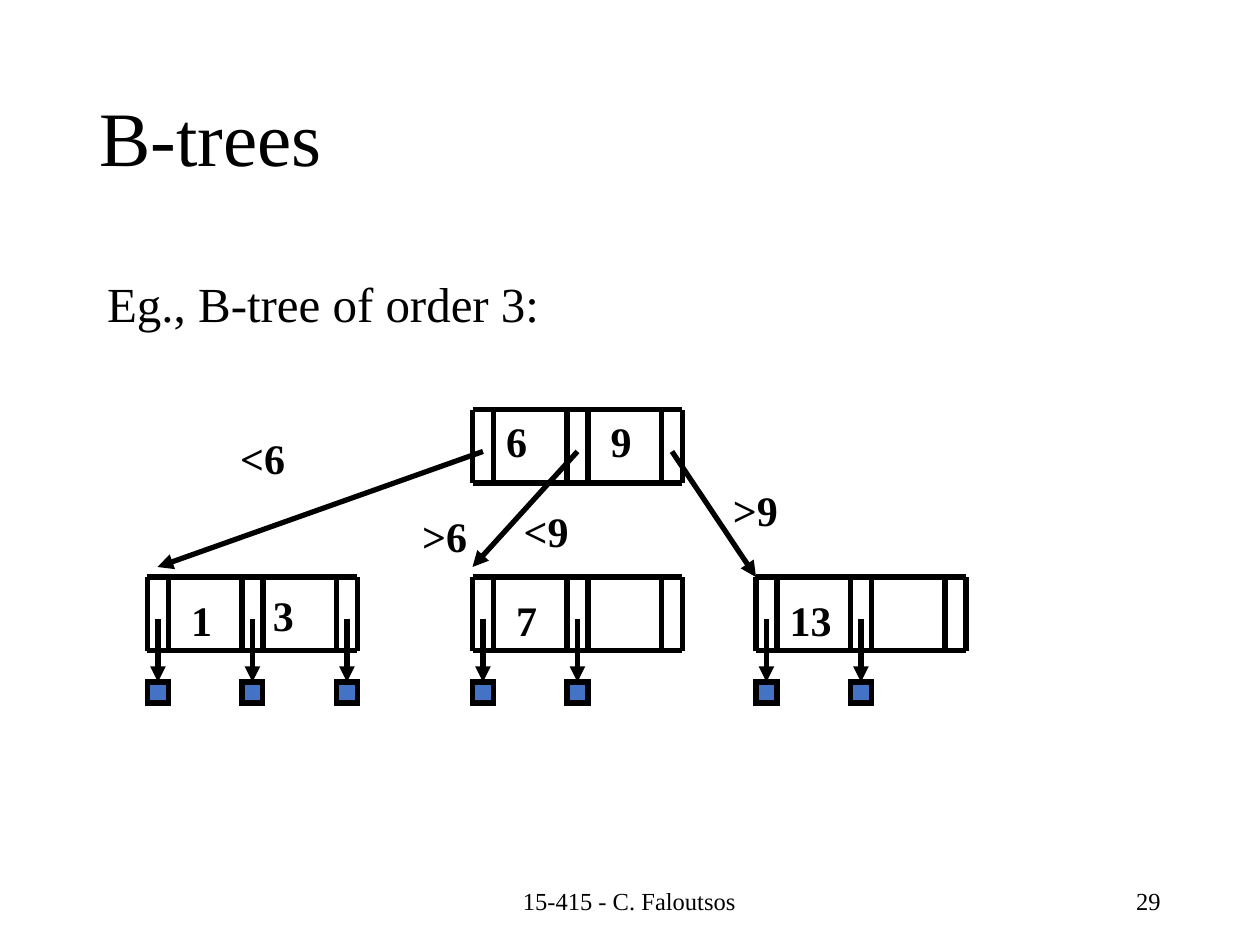
from dataclasses import dataclass

from lxml import etree
from pptx import Presentation
from pptx.dml.color import RGBColor
from pptx.enum import shapes, text
from pptx.oxml import ns
from pptx.util import Inches, Pt

COLORS = {"ink": "000000", "record": "4472C4"}
FONT = "Times New Roman"
LINE_WIDTH = 3

# Node geometry, in inches
SLOT = 1 / 6            # width of a pointer slot, side of a record
PITCH = 0.75            # from one pointer slot to the next
ORDER = 3               # pointer slots per node
NODE_WIDTH = (ORDER - 1) * PITCH + SLOT
NODE_HEIGHT = 7 / 12
POINTER_DROP = 1 / 3    # node top to start of a pointer
RECORD_DROP = 5 / 6     # node top to the records
ROOT_TOP, LEAF_TOP = 3.25, 4.58


@dataclass
class Node:
    left: float
    top: float
    records: int = 0

    def slot_center(self, index: int) -> float:
        return self.left + index * PITCH + SLOT / 2


@dataclass
class Label:
    words: str
    left: float
    top: float
    width: float


ROOT = Node(3.75, ROOT_TOP)
LEAVES = [Node(6, LEAF_TOP, 2), Node(3.75, LEAF_TOP, 2), Node(1.17, LEAF_TOP, 3)]
CHILD_POINTS = [(1.25, 4.5), (3.75, 4.5), (6, LEAF_TOP)]
LABELS = [
    # Keys
    Label("1", 1.42, 4.67, 0.36),
    Label("3", 2.07, 4.63, 0.36),
    Label("6", 3.92, 3.25, 0.36),
    Label("7", 4, 4.67, 0.36),
    Label("9", 4.75, 3.25, 0.36),
    Label("13", 6.17, 4.67, 0.53),
    # Conditions on the branches
    Label("<6", 1.81, 3.38, 0.55),
    Label(">6", 3.25, 4, 0.56),
    Label("<9", 4.06, 3.96, 0.55),
    Label(">9", 5.72, 3.8, 0.55),
]


def color(name: str) -> RGBColor:
    return RGBColor.from_string(COLORS[name])


def add_line_detail(shape, tag: str, **attributes: str) -> None:
    line = shape._element.spPr.find(ns.qn("a:ln"))
    etree.SubElement(line, ns.qn(tag), **attributes)


def format_line(shape) -> None:
    shape.line.color.rgb = color("ink")
    shape.line.width = Pt(LINE_WIDTH)


def draw_line(group, x1: float, y1: float, x2: float, y2: float, arrow: bool = False) -> None:
    connector = group.shapes.add_connector(
        shapes.MSO_CONNECTOR.STRAIGHT, Inches(x1), Inches(y1), Inches(x2), Inches(y2))
    format_line(connector)
    if arrow:
        add_line_detail(connector, "a:tailEnd", type="triangle")
    etree.SubElement(connector._element.spPr, ns.qn("a:effectLst"))


def draw_record(group, left: float, top: float) -> None:
    record = group.shapes.add_shape(
        shapes.MSO_SHAPE.RECTANGLE, Inches(left), Inches(top), Inches(SLOT), Inches(SLOT))
    record.shadow.inherit = False
    record.fill.solid()
    record.fill.fore_color.rgb = color("record")
    format_line(record)
    add_line_detail(record, "a:miter", lim="800000")


def draw_node(group, node: Node) -> None:
    bottom = node.top + NODE_HEIGHT
    for index in range(ORDER):
        left = node.left + index * PITCH
        for x in (left, left + SLOT):
            draw_line(group, x, node.top, x, bottom)
    for y in (node.top, bottom):
        draw_line(group, node.left, y, node.left + NODE_WIDTH, y)
    for index in range(node.records):
        center, record_top = node.slot_center(index), node.top + RECORD_DROP
        draw_line(group, center, node.top + POINTER_DROP, center, record_top, arrow=True)
        draw_record(group, node.left + index * PITCH, record_top)


def place(shape, left: float, top: float, width: float, height: float) -> None:
    box = {"left": left, "top": top, "width": width, "height": height}
    for name, value in box.items():
        setattr(shape, name, Inches(value))


def write(shape, words: str, size: float, align, anchor, bold: bool = False,
          wrap: bool = True, spacing: float = 1.0, bullet_off: bool = False) -> None:
    frame = shape.text_frame
    frame.text = words
    frame_format = {"word_wrap": wrap, "auto_size": text.MSO_AUTO_SIZE.NONE,
                    "vertical_anchor": anchor}
    for name, value in frame_format.items():
        setattr(frame, name, value)
    paragraph = frame.paragraphs[0]
    paragraph_format = {"alignment": align, "line_spacing": spacing, "space_before": Pt(0)}
    for name, value in paragraph_format.items():
        setattr(paragraph, name, value)
    if bullet_off:
        properties = paragraph._element.get_or_add_pPr()
        properties.set("marL", str(Inches(0.25)))
        properties.set("indent", str(-Inches(0.25)))
        etree.SubElement(properties, ns.qn("a:buNone"))
    font = paragraph.runs[0].font
    for name, value in {"name": FONT, "size": Pt(size), "bold": bold}.items():
        setattr(font, name, value)
    font.color.rgb = color("ink")


def add_text(parent, words: str, box: tuple, size: float, align, anchor, **options) -> None:
    shape = parent.shapes.add_textbox(*(Inches(value) for value in box))
    write(shape, words, size, align, anchor, **options)


def main() -> None:
    presentation = Presentation()
    presentation.slide_width, presentation.slide_height = Inches(10), Inches(7.5)
    slide = presentation.slides.add_slide(presentation.slide_layouts[1])
    align, anchor = text.PP_ALIGN, text.MSO_ANCHOR

    # Title and introduction
    title, body = slide.shapes.title, slide.placeholders[1]
    place(title, 0.69, 0.4, 8.63, 1.45)
    write(title, "B-trees", 44, align.LEFT, anchor.MIDDLE, spacing=0.9)
    place(body, 0.75, 2.17, 8.5, 0.67)
    write(body, "Eg., B-tree of order 3:", 28, align.LEFT, anchor.TOP,
          spacing=0.9, bullet_off=True)

    # Footer and slide number
    add_text(slide, "15-415 - C. Faloutsos", (3.31, 6.95, 3.37, 0.4), 14,
             align.CENTER, anchor.MIDDLE)
    add_text(slide, "29", (7.06, 6.95, 2.25, 0.4), 14, align.RIGHT, anchor.MIDDLE)

    # Tree nodes, branches and labels
    tree = slide.shapes.add_group_shape()
    for node in (ROOT, *LEAVES):
        draw_node(tree, node)
    for index, (x, y) in enumerate(CHILD_POINTS):
        draw_line(tree, ROOT.slot_center(index), ROOT.top + POINTER_DROP, x, y, arrow=True)
    for label in LABELS:
        add_text(tree, label.words, (label.left, label.top, label.width, 0.5), 24,
                 align.CENTER, anchor.TOP, bold=True, wrap=False)

    presentation.save("out.pptx")


if __name__ == "__main__":
    main()
